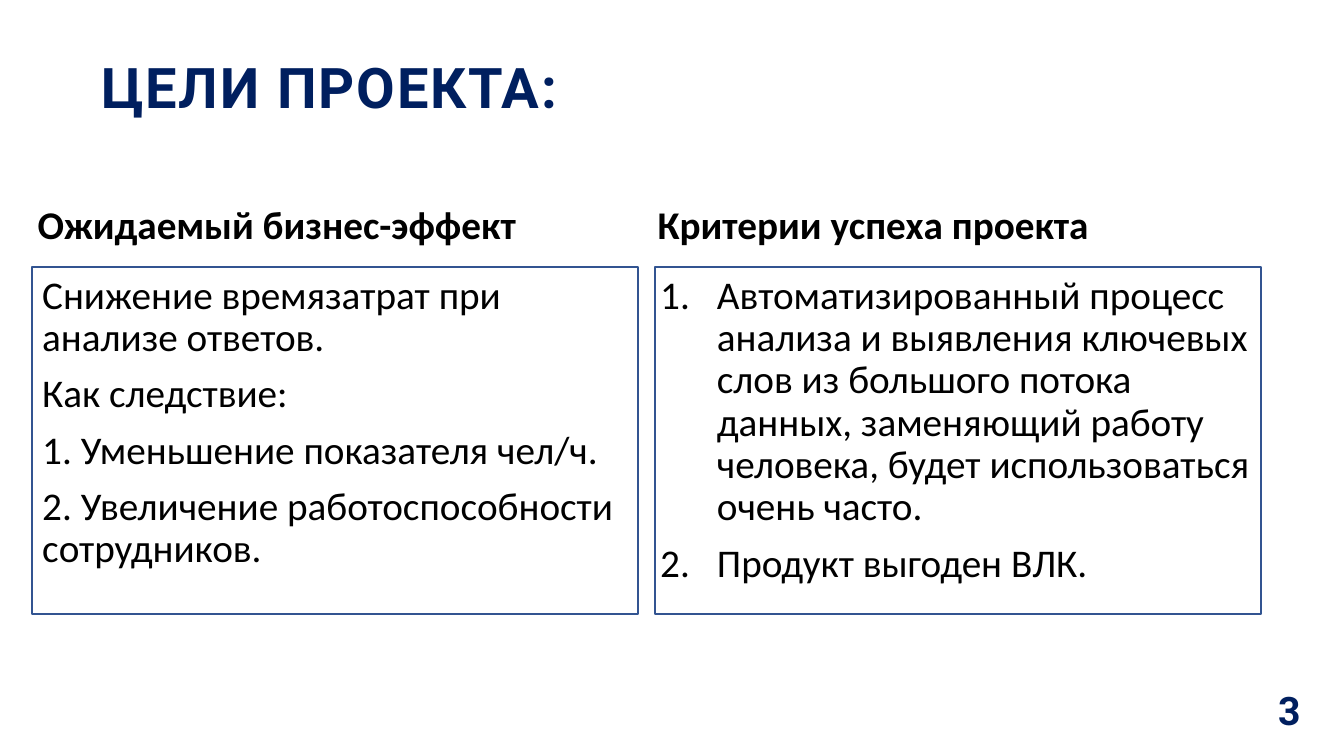
from lxml.etree import SubElement
from pptx import Presentation
from pptx.dml.color import RGBColor
from pptx.enum.shapes import MSO_SHAPE
from pptx.enum.text import MSO_ANCHOR, MSO_AUTO_SIZE, PP_ALIGN
from pptx.oxml.ns import qn
from pptx.util import Pt

NAVY, BLACK, FRAME_BLUE = "001F5F", "000000", "325491"
EFFECTS = [
    "Снижение времязатрат при анализе ответов.",
    "Как следствие:",
    "1. Уменьшение показателя чел/ч.",
    "2. Увеличение работоспособности сотрудников.",
]
CRITERIA = [
    "Автоматизированный процесс анализа и выявления ключевых слов из большого "
    "потока данных, заменяющий работу человека, будет использоваться очень часто.",
    "Продукт выгоден ВЛК.",
]


def color(hex_code):
    """Turn a hex string into a colour."""
    return RGBColor.from_string(hex_code)


def place(shape, left, top, width, height):
    """Move and size a shape, in points."""
    shape.left, shape.top = Pt(left), Pt(top)
    shape.width, shape.height = Pt(width), Pt(height)


def set_frame(frame, top_inset):
    """Give a text frame a top inset only and let it grow with its text."""
    frame.word_wrap = True
    frame.auto_size = MSO_AUTO_SIZE.SHAPE_TO_FIT_TEXT
    frame.margin_left = frame.margin_right = frame.margin_bottom = 0
    frame.margin_top = Pt(top_inset)


def style(para, name, size, hex_code, bold=False):
    """Set the font and the left alignment of a paragraph."""
    para.alignment = PP_ALIGN.LEFT
    para.font.name, para.font.size, para.font.bold = name, Pt(size), bold
    para.font.color.rgb = color(hex_code)


def indent(para, left, first):
    """Set the left margin and first-line indent of a paragraph."""
    properties = para._p.get_or_add_pPr()
    properties.set("marL", str(Pt(left)))
    properties.set("indent", str(Pt(first)))


def add_navy_text(para, text, size):
    """Write letter-spaced bold navy text."""
    span = para.add_run()
    span.text = text
    span._r.get_or_add_rPr().set("spc", "140")
    style(para, "Roboto", size, NAVY, bold=True)


def add_title(page, text):
    """Fill and format the title placeholder."""
    title = page.shapes.title
    place(title, 71.3, 36, 599, 49.7)
    frame = title.text_frame
    set_frame(frame, 1)
    frame.vertical_anchor = MSO_ANCHOR.MIDDLE
    para = frame.paragraphs[0]
    add_navy_text(para, text, 40)
    para.line_spacing, para.space_before = 1.0, Pt(1)
    indent(para, 1, 0)


def add_heading(page, text, left, width):
    """Add a bold column heading."""
    box = page.shapes.add_textbox(Pt(left), Pt(141.8), Pt(width), Pt(35.3))
    set_frame(box.text_frame, 1)
    para = box.text_frame.paragraphs[0]
    para.text = text
    para.space_before = Pt(1)
    style(para, "Calibri", 28, BLACK, bold=True)
    indent(para, 1, 18.7)


def add_body(page, lines, left, width, height, numbered=False):
    """Add the paragraphs of a column, numbered if asked."""
    box = page.shapes.add_textbox(Pt(left), Pt(190.8), Pt(width), Pt(height))
    frame = box.text_frame
    set_frame(frame, 5.8)
    for index, line in enumerate(lines):
        para = frame.add_paragraph() if index else frame.paragraphs[0]
        para.text = line
        para.line_spacing, para.space_before = 0.9, Pt(10)
        style(para, "Calibri", 28, BLACK)
        if numbered:
            indent(para, 40.5, -40.5)
            bullet = SubElement(para._p.get_or_add_pPr(), qn("a:buAutoNum"))
            bullet.set("type", "arabicPeriod")


def add_column_frame(page, left):
    """Add the outline round a column."""
    outline = page.shapes.add_shape(
        MSO_SHAPE.RECTANGLE, Pt(left), Pt(190.8), Pt(432.7), Pt(247.7))
    outline.shadow.inherit = False
    outline.fill.background()
    outline.line.color.rgb = color(FRAME_BLUE)
    outline.line.width = Pt(1.5)


def add_page_number(page, text):
    """Add the page number at the lower right."""
    box = page.shapes.add_textbox(Pt(905.8), Pt(486.7), Pt(33.8), Pt(41))
    box.text_frame.word_wrap = False
    box.text_frame.auto_size = MSO_AUTO_SIZE.SHAPE_TO_FIT_TEXT
    add_navy_text(box.text_frame.paragraphs[0], text, 28)


def main():
    """Build and save the slide."""
    deck = Presentation()
    deck.slide_width, deck.slide_height = Pt(960), Pt(540)
    page = deck.slides.add_slide(deck.slide_layouts[5])
    add_title(page, "ЦЕЛИ ПРОЕКТА:")
    add_heading(page, "Ожидаемый бизнес-эффект", 7.2, 364.3)
    add_body(page, EFFECTS, 30.2, 419.8, 219.6)
    add_heading(page, "Критерии успеха проекта", 450, 335.5)
    add_body(page, CRITERIA, 471.6, 426, 229.7, numbered=True)
    add_page_number(page, "3")
    for left in (23, 468):
        add_column_frame(page, left)
    deck.save("out.pptx")


if __name__ == "__main__":
    main()
